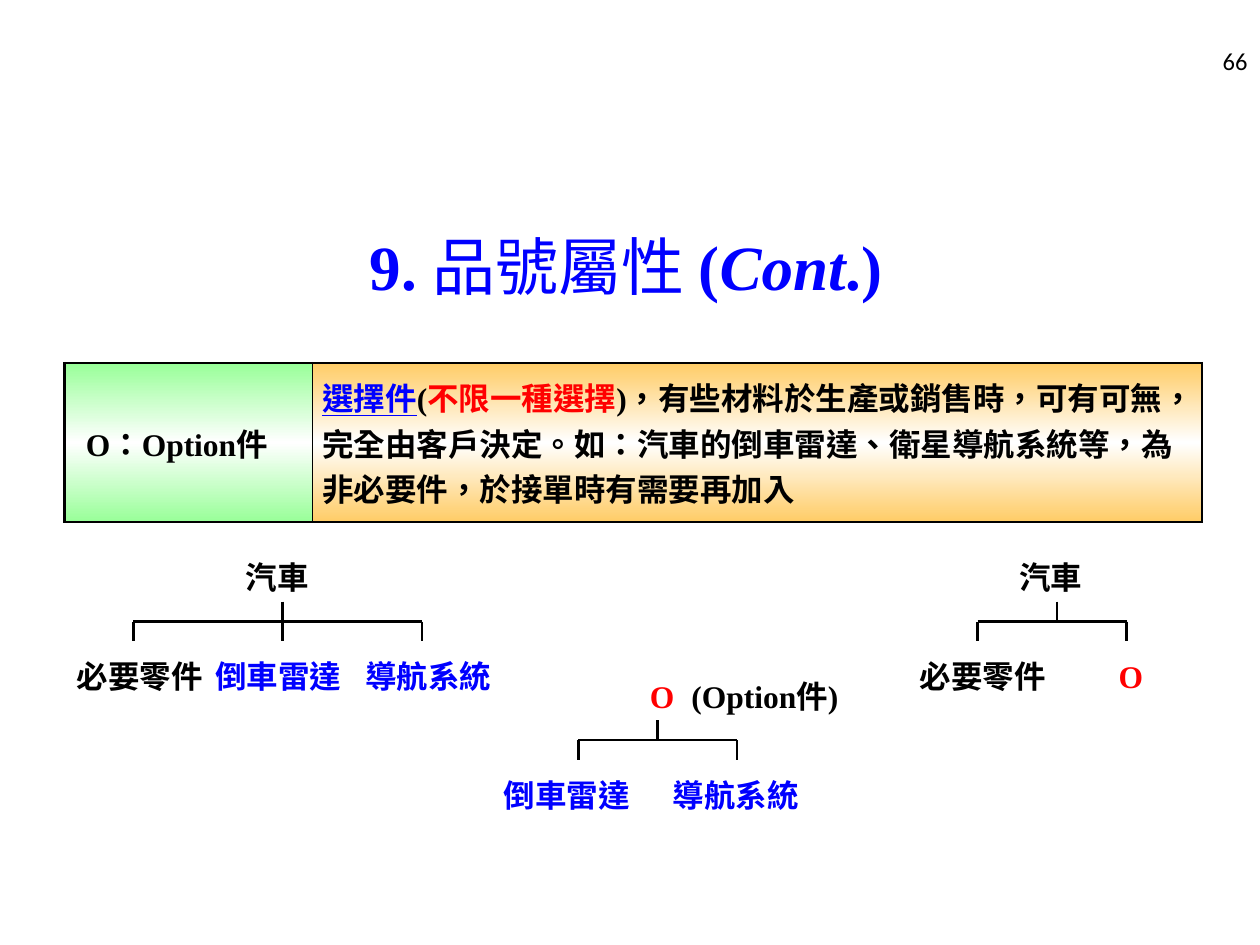
from copy import deepcopy

from lxml import etree
from pptx import Presentation
from pptx.dml.color import RGBColor
from pptx.enum.lang import MSO_LANGUAGE_ID
from pptx.enum.shapes import MSO_CONNECTOR
from pptx.enum.text import MSO_ANCHOR, PP_ALIGN
from pptx.oxml.ns import qn
from pptx.util import Cm, Pt

STRAIGHT = MSO_CONNECTOR.STRAIGHT
TOP, MIDDLE = MSO_ANCHOR.TOP, MSO_ANCHOR.MIDDLE
LEFT, CENTER, RIGHT = PP_ALIGN.LEFT, PP_ALIGN.CENTER, PP_ALIGN.RIGHT
CHINESE = MSO_LANGUAGE_ID.TRADITIONAL_CHINESE

THEME = {
    "black": "000000", "blue": "0000FF", "red": "FF0000",
    "green_fill": ("99FF99", "FFFFFF", "99FF99"),
    "orange_fill": ("FFCC66", "FFFFFF", "FFCC66"),
    "number": {"name": "Calibri", "size": Pt(14)},
    "title": {"name": "Times New Roman", "size": Pt(36), "bold": True},
    "body": {"name": "Times New Roman", "size": Pt(18), "bold": True},
    "thick": 1.5, "thin": 1,
}

PAGE_NUMBER = [("66", "black", {})]
TITLE = [
    ("9. ", "blue", {}),
    ("品號屬性 ", "blue", {"bold": False}),
    ("(", "blue", {}),
    ("Cont", "blue", {"italic": True}),
    (".)", "blue", {}),
]
DEFINITION = [
    {
        "runs": [("O：Option件", "black", {})],
        "fill": "green_fill", "width": 5.0, "indent": 0.23,
        "borders": {"L": "thick", "R": "thin", "T": "thick", "B": "thick"},
    },
    {
        "runs": [
            ("選擇件", "blue", {"underline": True}),
            ("(", "black", {}),
            ("不限一種選擇", "red", {}),
            (")，有些材料於生產或銷售時，可有可無，完全由客戶決定。如：汽車的倒車雷達、"
             "衛星導航系統等，為非必要件，於接單時有需要再加入", "black", {}),
        ],
        "fill": "orange_fill", "width": 17.93, "indent": 0,
        "borders": {"L": "thin", "R": "thick", "T": "thick", "B": "thick"},
    },
]
TREES = [
    {
        "top": 11.13, "stem": 5.69, "drops": (2.69, 5.69, 8.51),
        "roots": [("汽車", "black", 4.7, 2.79)],
        "leaves": [("必要零件", "black", 1.3, 3.61), ("倒車雷達", "blue", 4.09, 3.2),
                   ("導航系統", "blue", 7.11, 3.4)],
    },
    {
        "top": 13.52, "stem": 13.26, "drops": (11.66, 14.86),
        "roots": [("O", "red", 12.85, 1.4), ("(Option件)", "black", 13.69, 4.01)],
        "leaves": [("倒車雷達", "blue", 9.91, 3.2), ("導航系統", "blue", 13.31, 3.4)],
    },
    {
        "top": 11.13, "stem": 21.31, "drops": (19.71, 22.71),
        "roots": [("汽車", "black", 20.3, 2.79)],
        "leaves": [("必要零件", "black", 18.29, 3.61), ("O", "red", 22.3, 1.4)],
    },
]
LABEL_HEIGHT, STEM_OFFSET, BRANCH_STEP, LEAF_OFFSET = 1.02, 1.0, 0.4, 2.0


def apply_format(target, values):
    for name, value in values.items():
        setattr(target, name, value)


def color(name):
    return RGBColor.from_string(THEME.get(name, name))


def write_runs(paragraph, runs, style):
    for text, color_name, extra in runs:
        run = paragraph.add_run()
        run.text = text
        apply_format(run.font, {**THEME[style], "language_id": CHINESE, **extra})
        run.font.color.rgb = color(color_name)


def add_text(slide, box, runs, style, anchor=TOP, alignment=LEFT):
    shape = slide.shapes.add_textbox(*map(Cm, box))
    apply_format(shape.text_frame, {"word_wrap": True, "vertical_anchor": anchor})
    paragraph = shape.text_frame.paragraphs[0]
    paragraph.alignment = alignment
    write_runs(paragraph, runs, style)


def add_line(slide, *ends):
    connector = slide.shapes.add_connector(STRAIGHT, *map(Cm, ends))
    connector.line.width = Pt(THEME["thick"])
    connector.line.color.rgb = color("black")
    etree.SubElement(connector._element.spPr, qn("a:effectLst"))


def add_borders(cell, borders):
    properties = cell._tc.get_or_add_tcPr()
    for side, weight in borders.items():
        line = etree.SubElement(properties, qn(f"a:ln{side}"), w=str(Pt(THEME[weight])))
        fill = etree.SubElement(line, qn("a:solidFill"))
        etree.SubElement(fill, qn("a:srgbClr"), val=THEME["black"])


def fill_gradient(cell, colors):
    cell.fill.gradient()
    cell.fill.gradient_angle = 90
    stop_list = next(cell._tc.iter(qn("a:gsLst")))
    stop_list.append(deepcopy(stop_list[0]))
    for index, (stop, value) in enumerate(zip(cell.fill.gradient_stops, colors)):
        stop.position = index / (len(colors) - 1)
        stop.color.rgb = color(value)


def add_definition(slide, left, top, height):
    width = sum(item["width"] for item in DEFINITION)
    frame = slide.shapes.add_table(1, len(DEFINITION), Cm(left), Cm(top), Cm(width), Cm(height))
    table = frame.table
    apply_format(table, {"first_row": False, "horz_banding": False})
    for index, item in enumerate(DEFINITION):
        table.columns[index].width = Cm(item["width"])
        cell = table.cell(0, index)
        apply_format(cell, {
            "vertical_anchor": MIDDLE,
            "margin_left": Cm(0.2), "margin_right": Cm(0.2),
            "margin_top": Cm(0.15), "margin_bottom": Cm(0.15),
        })
        add_borders(cell, item["borders"])
        fill_gradient(cell, THEME[item["fill"]])
        paragraph = cell.text_frame.paragraphs[0]
        paragraph._p.get_or_add_pPr().set("marL", str(Cm(item["indent"])))
        write_runs(paragraph, item["runs"], "body")


def add_tree(slide, tree):
    for level, offset in (("roots", 0), ("leaves", LEAF_OFFSET)):
        for text, color_name, left, width in tree[level]:
            box = (left, tree["top"] + offset, width, LABEL_HEIGHT)
            add_text(slide, box, [(text, color_name, {})], "body")
    stem_top = tree["top"] + STEM_OFFSET
    bar = stem_top + BRANCH_STEP
    add_line(slide, tree["stem"], stem_top, tree["stem"], bar)
    add_line(slide, tree["drops"][0], bar, tree["drops"][-1], bar)
    for x in tree["drops"]:
        add_line(slide, x, bar, x, bar + BRANCH_STEP)


def main():
    presentation = Presentation()
    presentation.slide_width, presentation.slide_height = Cm(25.4), Cm(19.05)
    slide = presentation.slides.add_slide(presentation.slide_layouts[6])
    add_text(slide, (19.48, 0.71, 5.92, 1.02), PAGE_NUMBER, "number", MIDDLE, RIGHT)
    add_text(slide, (1.19, 3.76, 22.86, 3.18), TITLE, "title", MIDDLE, CENTER)
    add_definition(slide, 1.3, 7.32, 3.2)
    for tree in TREES:
        add_tree(slide, tree)
    presentation.save("out.pptx")


if __name__ == "__main__":
    main()
